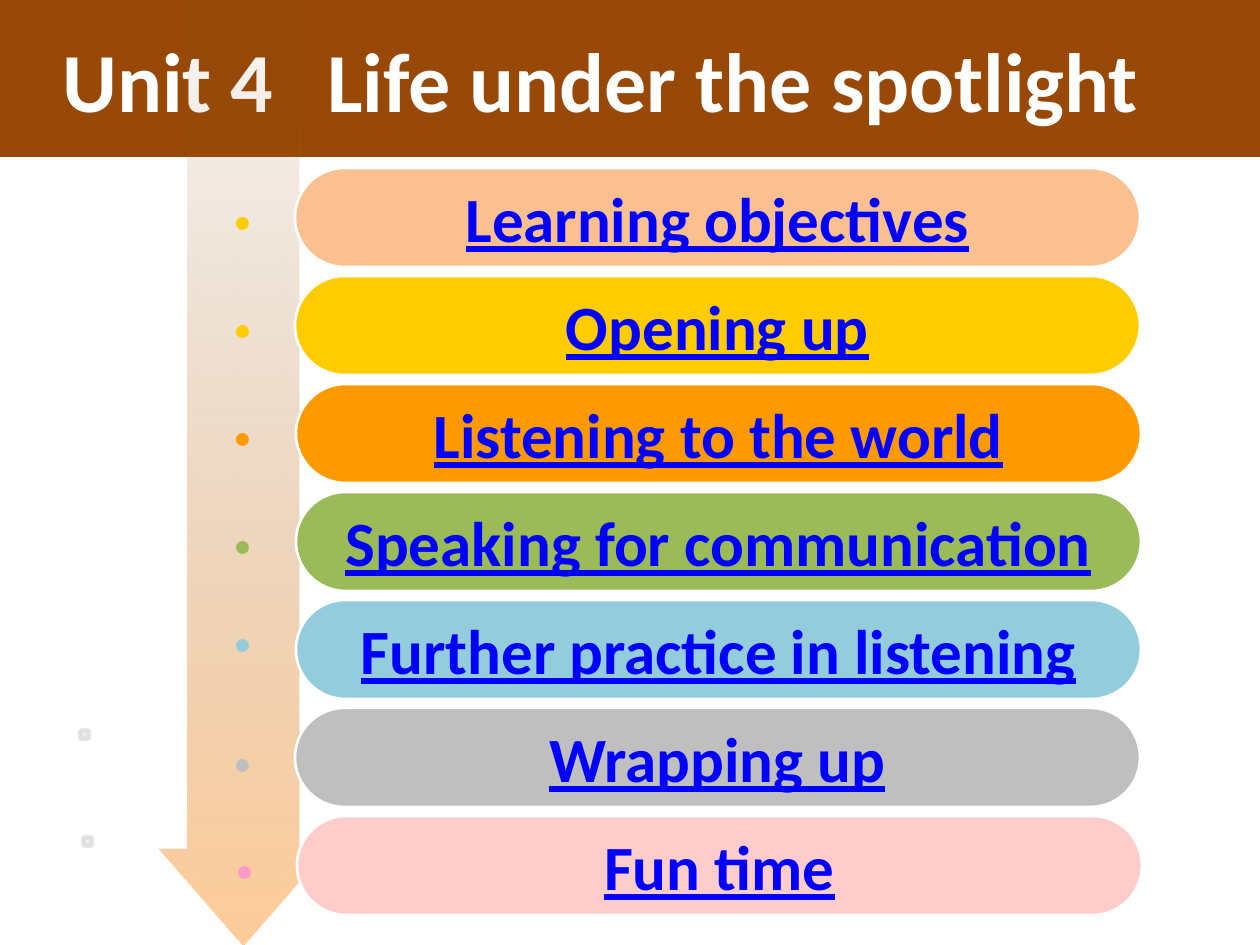
from lxml.etree import SubElement
from pptx import Presentation
from pptx.dml.color import RGBColor
from pptx.enum.shapes import MSO_SHAPE
from pptx.enum.text import MSO_ANCHOR, PP_ALIGN
from pptx.oxml.ns import qn
from pptx.util import Emu, Pt

TITLE = "Unit 4\tLife under the spotlight"
# label, pill colour, dot colour, pill left, dot left, dot nudge from the row rule
SECTIONS = [
    ("Learning objectives", "FAC090", "FFCC00", 295, 236, 0),
    ("Opening up", "FFCC00", "FFCC00", 295, 236, 0),
    ("Listening to the world", "FF9900", "FF9900", 296, 236, 0),
    ("Speaking for communication", "9BBB59", "9BBB59", 296, 236, 0),
    ("Further practice in listening", "93CDDD", "93CDDD", 296, 236, -10),
    ("Wrapping up", "BFBFBF", "BFBFBF", 295, 236, 2),
    ("Fun time", "FFCCCC", "FF99CC", 297, 238, 1),
]
FAINT_DOTS = [(78, 728), (81, 835)]

THEME = {
    "font": "Calibri",
    "banner": "984807",
    "title": "FFFFFF",
    "title_size": 48,
    "link": "0000FF",
    "link_size": 36,
    "pill_edge": "FFFFFF",
    "arrow": [("FF9933", 50), ("764718", 0)],
    "faint": [("FFFFFF", 50), ("000000", 0)],
}

FIRST_TOP, PITCH = 168, 108
PILL_WIDTH, PILL_HEIGHT = 845, 99
DOT_SIZE, DOT_DROP = 13, 49
TITLE_INDENT, TITLE_TAB = 50, 352


def px(length):
    """Turn picture pixels into EMU."""
    return Emu(round(length * 914400 / 126))


def add_part(slide, preset, left, top, width, height, color=None):
    """Add a borderless preset shape, with a solid fill if a colour is given."""
    part = slide.shapes.add_shape(preset, px(left), px(top), px(width), px(height))
    part.shadow.inherit = False
    part.line.fill.background()
    if color:
        part.fill.solid()
        part.fill.fore_color.rgb = RGBColor.from_string(color)
    return part


def fade(part, stops, angle=None):
    """Give a two-stop gradient with opacities: linear by angle, else from the centre."""
    part.fill.gradient()
    gradient = part.fill._xPr.find(qn("a:gradFill"))
    for child in list(gradient):
        gradient.remove(child)
    stop_list = SubElement(gradient, qn("a:gsLst"))
    for position, (color, opacity) in zip((0, 100000), stops):
        stop = SubElement(stop_list, qn("a:gs"), pos=str(position))
        tone = SubElement(stop, qn("a:srgbClr"), val=color)
        SubElement(tone, qn("a:alpha"), val=str(opacity * 1000))
    if angle is None:
        center = SubElement(gradient, qn("a:path"), path="shape")
        SubElement(center, qn("a:fillToRect"), l="50000", t="50000", r="50000", b="50000")
    else:
        SubElement(gradient, qn("a:lin"), ang=str(angle * 60000), scaled="1")


def write(part, text, size, color, align, wrap=True, underline=None):
    """Write one bold line, centred vertically, and return its paragraph."""
    frame = part.text_frame
    frame.word_wrap = wrap
    frame.vertical_anchor = MSO_ANCHOR.MIDDLE
    paragraph = frame.paragraphs[0]
    paragraph.alignment = align
    for index, piece in enumerate(text.split("\t")):
        run = paragraph.add_run()
        run.text = "\t" + piece if index else piece
        run.font.name = THEME["font"]
        run.font.size = Pt(size)
        run.font.bold = True
        run.font.underline = underline
        run.font.color.rgb = RGBColor.from_string(color)
    return paragraph


def add_banner(slide):
    """Draw the title band, with the title's indent and tab stop."""
    banner = add_part(slide, MSO_SHAPE.RECTANGLE, 0, 0, 1260, 157, THEME["banner"])
    title = write(banner, TITLE, THEME["title_size"], THEME["title"], PP_ALIGN.LEFT)
    properties = title._p.get_or_add_pPr()
    properties.set("marL", "0")
    properties.set("indent", str(px(TITLE_INDENT)))
    tabs = SubElement(properties, qn("a:tabLst"))
    SubElement(tabs, qn("a:tab"), pos=str(px(TITLE_TAB)), algn="l")


def add_arrow(slide):
    """Draw the fading arrow that runs down behind the sections."""
    arrow = add_part(slide, MSO_SHAPE.UP_ARROW, 159, -98, 168, 1043)
    arrow.rotation = 180
    arrow.adjustments[0] = 0.66
    arrow.adjustments[1] = 0.58
    fade(arrow, THEME["arrow"], 90)


def add_section(slide, row, label, color, dot_color, left, dot_left, nudge):
    """Draw one section pill and its dot on the arrow."""
    top = FIRST_TOP + row * PITCH
    add_part(slide, MSO_SHAPE.OVAL, dot_left, top + DOT_DROP + nudge,
             DOT_SIZE, DOT_SIZE, dot_color)
    pill = add_part(slide, MSO_SHAPE.ROUNDED_RECTANGLE, left, top,
                    PILL_WIDTH, PILL_HEIGHT, color)
    pill.adjustments[0] = 0.5
    pill.line.color.rgb = RGBColor.from_string(THEME["pill_edge"])
    pill.line.width = Pt(1.5)
    write(pill, label, THEME["link_size"], THEME["link"], PP_ALIGN.CENTER,
          wrap=False, underline=True)


def main():
    """Build and save the unit contents slide."""
    deck = Presentation()
    deck.slide_width, deck.slide_height = px(1260), px(945)
    slide = deck.slides.add_slide(deck.slide_layouts[6])
    add_banner(slide)
    add_arrow(slide)
    for left, top in FAINT_DOTS:
        fade(add_part(slide, MSO_SHAPE.OVAL, left, top, DOT_SIZE, DOT_SIZE), THEME["faint"])
    for row, section in enumerate(SECTIONS):
        add_section(slide, row, *section)
    deck.save("out.pptx")


main()
